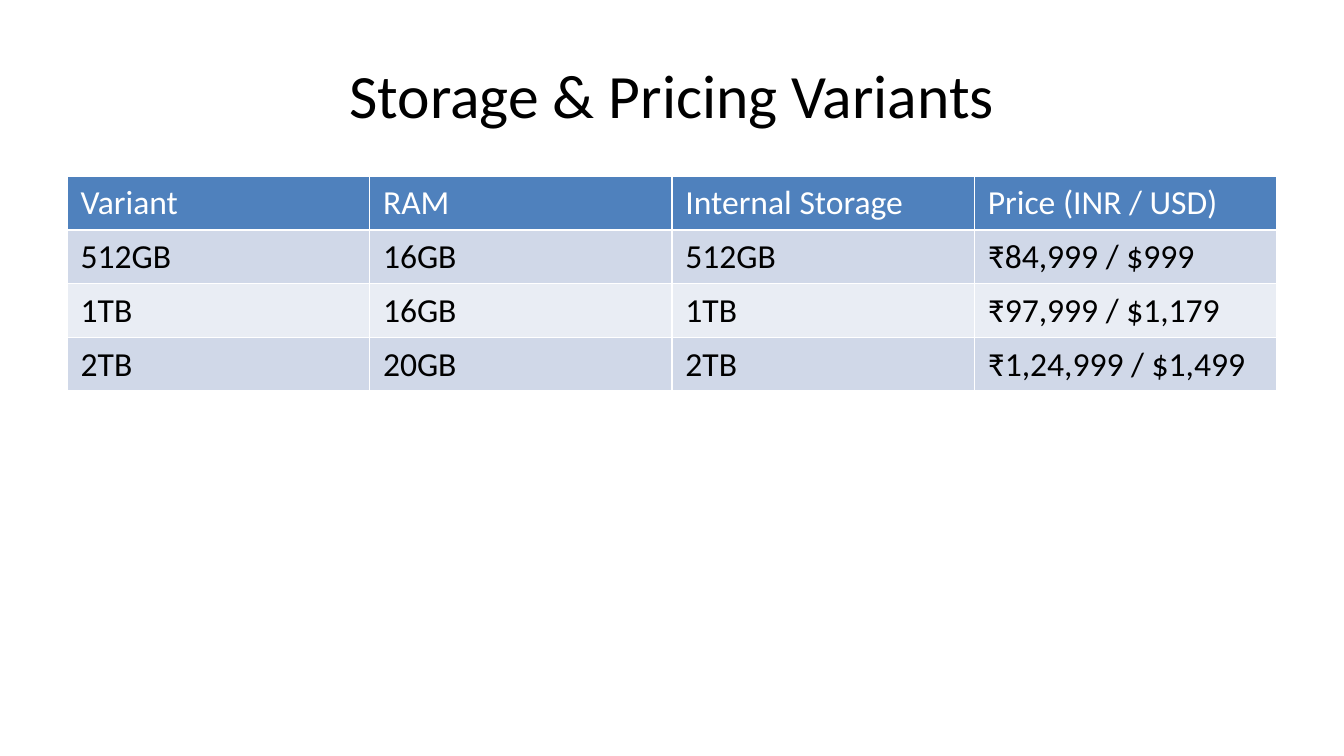
from dataclasses import dataclass

from lxml import etree
from pptx import Presentation
from pptx.dml.color import RGBColor
from pptx.enum import text
from pptx.oxml.ns import qn
from pptx.util import Inches, Pt


@dataclass(frozen=True)
class Theme:
    font: str = "Calibri"
    title_size: int = 33
    table_size: int = 18
    ink: str = "000000"
    white: str = "FFFFFF"
    header: str = "4F81BD"
    bands: tuple[str, ...] = ("D0D8E8", "E9EDF4")
    border_width: int = 1


@dataclass(frozen=True)
class Variant:
    name: str
    ram: str
    storage: str
    price: str


THEME = Theme()
HEADER = ("Variant", "RAM", "Internal Storage", "Price (INR / USD)")
VARIANTS = (
    Variant("512GB", "16GB", "512GB", "₹84,999 / $999"),
    Variant("1TB", "16GB", "1TB", "₹97,999 / $1,179"),
    Variant("2TB", "20GB", "2TB", "₹1,24,999 / $1,499"),
)
LEFT, WIDTH = 0.5, 9


def add_run(p, words: str, size: int, color: str) -> None:
    r = p.add_run()
    r.text = words
    r.font.name = THEME.font
    r.font.size = Pt(size)
    r.font.bold = False
    r.font.color.rgb = RGBColor.from_string(color)


def add_title(s, words: str) -> None:
    sp = s.shapes.add_textbox(Inches(LEFT), Inches(0.23), Inches(WIDTH), Inches(0.94))
    tf = sp.text_frame
    tf.word_wrap = True
    tf.vertical_anchor = text.MSO_ANCHOR.MIDDLE
    p = tf.paragraphs[0]
    p.alignment = text.PP_ALIGN.CENTER
    add_run(p, words, THEME.title_size, THEME.ink)


def add_borders(cell) -> None:
    props = cell._tc.get_or_add_tcPr()
    for side in ("lnL", "lnR", "lnT", "lnB"):
        line = etree.SubElement(props, qn(f"a:{side}"), w=str(Pt(THEME.border_width)))
        fill = etree.SubElement(line, qn("a:solidFill"))
        etree.SubElement(fill, qn("a:srgbClr"), val=THEME.white)


def fill_row(cells, words: tuple[str, ...], fill: str, color: str) -> None:
    for cell, word in zip(cells, words):
        add_borders(cell)
        cell.fill.solid()
        cell.fill.fore_color.rgb = RGBColor.from_string(fill)
        add_run(cell.text_frame.paragraphs[0], word, THEME.table_size, color)


def add_variant_table(s, variants: tuple[Variant, ...]) -> None:
    """Draw the table with rows that grow to the height of their text."""
    frame = s.shapes.add_table(
        len(variants) + 1, len(HEADER),
        Inches(LEFT), Inches(1.31), Inches(WIDTH), Inches(0),
    )
    frame.height = Inches(3.71)
    table = frame.table
    table.first_row = True
    table.horz_banding = False
    fill_row(table.rows[0].cells, HEADER, THEME.header, THEME.white)
    for i, v in enumerate(variants):
        band = THEME.bands[i % len(THEME.bands)]
        words = (v.name, v.ram, v.storage, v.price)
        fill_row(table.rows[i + 1].cells, words, band, THEME.ink)


def main() -> None:
    prs = Presentation()
    prs.slide_width = Inches(10)
    prs.slide_height = prs.slide_width * 9 // 16
    s = prs.slides.add_slide(prs.slide_layouts[6])
    add_title(s, "Storage & Pricing Variants")
    add_variant_table(s, VARIANTS)
    prs.save("out.pptx")


if __name__ == "__main__":
    main()
